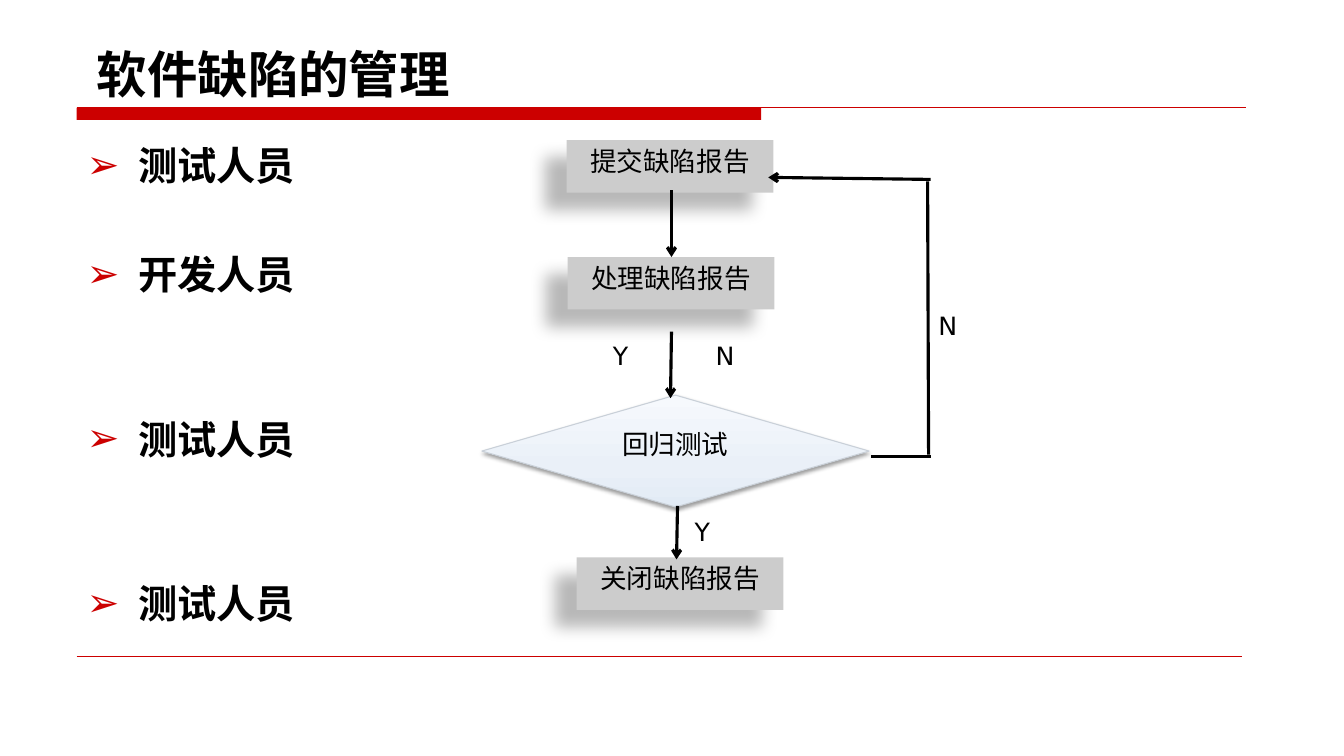
from dataclasses import dataclass
from lxml.etree import SubElement
from pptx import Presentation
from pptx.dml.color import RGBColor
from pptx.enum.shapes import MSO_CONNECTOR, MSO_SHAPE
from pptx.enum.text import MSO_ANCHOR, MSO_AUTO_SIZE, PP_ALIGN
from pptx.oxml.ns import qn
from pptx.util import Inches, Pt


@dataclass(frozen=True)
class Theme:
    red: str = "CC0000"
    gray: str = "CCCCCC"
    ink: str = "000000"
    edge: str = "C9D0D8"
    fade: tuple = ((0, "E2EBF5"), (35, "EAF0F8"), (100, "F6F9FD"))
    deep: tuple = (28, 11.8, 19.7, 141)
    soft: tuple = (38, 3.1, 1.6, 90)
    han: str = "Noto Sans CJK SC"
    latin: str = "DejaVu Sans"
    title: int = 36
    body: int = 28
    node: int = 19
    label: int = 18
    row: float = 39.1
    line: float = 36.5


@dataclass(frozen=True)
class Grid:
    left: float
    top: float
    cols: float
    rows: float
    cell: int = Inches(0.1)

    def spot(self, col, row):
        return int((self.left + col) * self.cell), int((self.top + row) * self.cell)

    def area(self, col, row, cols, rows):
        return *self.spot(col, row), int(cols * self.cell), int(rows * self.cell)

    def whole(self):
        return self.area(0, 0, self.cols, self.rows)


T = Theme()


def color(code):
    return RGBColor.from_string(code)


def style(para, size, face, bold=False):
    font = para.font
    font.size, font.name, font.bold = Pt(size), face, bold
    font.color.rgb = color(T.ink)
    SubElement(font._element, qn("a:ea")).set("typeface", face)


def tint(parent, code):
    fill = SubElement(parent, qn("a:srgbClr"))
    fill.set("val", code)
    return fill


def shade(shape, alpha, blur, far, angle):
    shape.shadow.inherit = False
    outer = SubElement(shape._element.spPr.find(qn("a:effectLst")), qn("a:outerShdw"))
    outer.set("blurRad", str(Pt(blur)))
    outer.set("dist", str(Pt(far)))
    outer.set("dir", str(angle * 60000))
    outer.set("algn", "ctr")
    outer.set("rotWithShape", "0")
    SubElement(tint(outer, T.ink), qn("a:alpha")).set("val", str(alpha * 1000))


def rule(slide, start, end, code, width, arrow=False):
    line = slide.shapes.add_connector(MSO_CONNECTOR.STRAIGHT, *start, *end)
    line.line.color.rgb, line.line.width = color(code), Pt(width)
    if arrow:
        SubElement(line.line._get_or_add_ln(), qn("a:tailEnd")).set("type", "arrow")
    SubElement(line._element.spPr, qn("a:effectLst"))


def place(shape, area):
    shape.left, shape.top, shape.width, shape.height = area
    shape.text_frame.auto_size = MSO_AUTO_SIZE.NONE
    return shape.text_frame


def header(slide, grid):
    bar = slide.shapes.add_shape(MSO_SHAPE.RECTANGLE, *grid.area(0, 7.8, 67.9, 1.2))
    bar.shadow.inherit = False
    bar.fill.solid()
    bar.fill.fore_color.rgb = color(T.red)
    bar.line.fill.background()
    rule(slide, grid.spot(0, 7.8), grid.spot(grid.cols, 7.8), T.red, 0.75)
    frame = place(slide.shapes.title, grid.area(0, 0, grid.cols, 7.9))
    frame.vertical_anchor = MSO_ANCHOR.BOTTOM
    frame.margin_left = Inches(0.2)
    frame.text = "软件缺陷的管理"
    para = frame.paragraphs[0]
    para.alignment = PP_ALIGN.LEFT
    style(para, T.title, T.han, True)


def roles(slide, grid):
    frame = place(slide.placeholders[1], grid.whole())
    frame.vertical_anchor = MSO_ANCHOR.TOP
    items = (("测试人员", 0), ("开发人员", 2), ("测试人员", 3), ("测试人员", 3))
    frame.text = "\n".join(name for name, _ in items)
    for para, (_, step) in zip(frame.paragraphs, items):
        para.line_spacing = Pt(T.line)
        para.space_before = Pt(max(0, step * T.row - T.line))
        props = para._p.get_or_add_pPr()
        props.set("marL", str(Inches(0.51)))
        props.set("indent", str(-Inches(0.51)))
        tint(SubElement(props, qn("a:buClr")), T.red)
        SubElement(props, qn("a:buChar")).set("char", "➢")
        style(para, T.body, T.han, True)


def node(slide, kind, area, text, glow):
    shape = slide.shapes.add_shape(kind, *area)
    shape.fill.solid()
    shape.fill.fore_color.rgb = color(T.gray)
    shape.line.fill.background()
    shade(shape, *glow)
    frame = shape.text_frame
    frame.vertical_anchor = MSO_ANCHOR.TOP
    frame.text = text
    para = frame.paragraphs[0]
    para.alignment = PP_ALIGN.CENTER
    style(para, T.node, T.han)
    return shape


def choice(slide, area, text):
    shape = node(slide, MSO_SHAPE.DIAMOND, area, text, T.soft)
    shape.fill.gradient()
    shape.fill.gradient_angle = 90
    stops = shape._element.spPr.find(qn("a:gradFill")).find(qn("a:gsLst"))
    for stop in list(stops):
        stops.remove(stop)
    for pos, code in T.fade:
        stop = SubElement(stops, qn("a:gs"))
        stop.set("pos", str(pos * 1000))
        tint(stop, code)
    shape.line.color.rgb, shape.line.width = color(T.edge), Pt(0.75)


def flow(slide, grid):
    choice(slide, grid.area(0, 25.3, 38.4, 11.1), "回归测试")
    for col, row, verb in ((8.4, 0, "提交"), (8.5, 11.6, "处理"), (9.4, 41.4, "关闭")):
        area = grid.area(col, row, 20.5, 5.2)
        node(slide, MSO_SHAPE.RECTANGLE, area, verb + "缺陷报告", T.deep)
    for start, end, arrow in (
        ((18.8, 5), (18.8, 11.6), True),
        ((18.8, 19), (18.7, 25.6), True),
        ((19.4, 36.3), (19.3, 41.6), True),
        ((38.6, 31.4), (44.5, 31.4), False),
        ((44.3, 31.2), (44.2, 4.1), False),
        ((44.5, 3.9), (28.4, 3.7), True),
    ):
        rule(slide, grid.spot(*start), grid.spot(*end), T.ink, 2.25, arrow)
    for col, row, text in ((12, 19.4, "Y"), (22.2, 19.4, "N"), (20.1, 36.8, "Y"), (44.3, 16.4, "N")):
        frame = slide.shapes.add_textbox(*grid.area(col, row, 4, 4.3)).text_frame
        frame.word_wrap = True
        frame.text = text
        style(frame.paragraphs[0], T.label, T.latin)


def footer(slide, grid):
    rule(slide, grid.spot(0, 0), grid.spot(grid.cols, 0), T.red, 0.25)


def main():
    deck = Presentation()
    deck.slide_width, deck.slide_height = Inches(13.33), Inches(7.5)
    slide = deck.slides.add_slide(deck.slide_layouts[1])
    header(slide, Grid(7.6, 2.9, 116, 9))
    footer(slide, Grid(7.6, 65.1, 115.6, 1))
    roles(slide, Grid(7.6, 13.1, 116.7, 46.7))
    flow(slide, Grid(47.8, 13.9, 61.5, 46.6))
    deck.save("out.pptx")


main()
